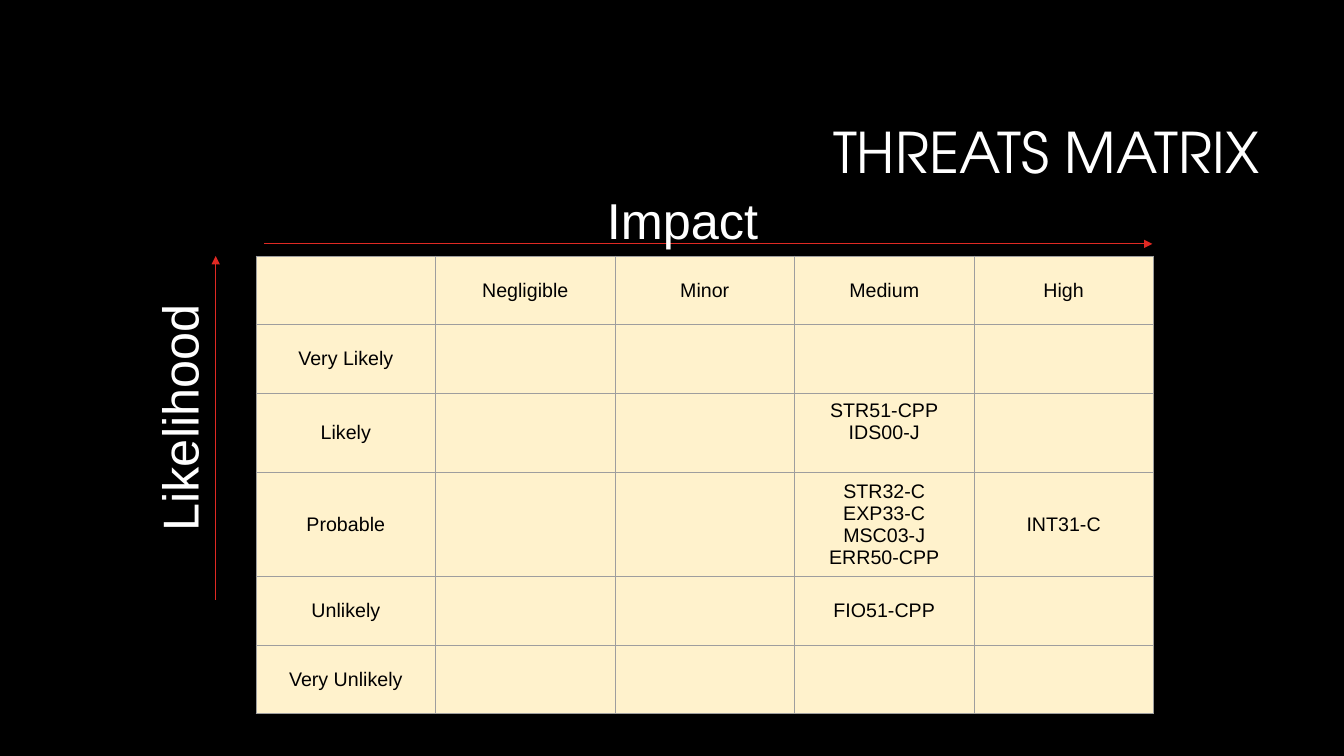
from lxml.etree import SubElement
from pptx import Presentation
from pptx.dml.color import RGBColor
from pptx.enum.shapes import MSO_CONNECTOR
from pptx.enum.text import MSO_ANCHOR, PP_ALIGN
from pptx.oxml.ns import qn
from pptx.util import Inches, Pt

# Content
TITLE = "THREATS MATRIX"
IMPACTS = ["Negligible", "Minor", "Medium", "High"]
# likelihood, row height, threats by impact
ROWS = [
    ("Very Likely", 0.68, {}),
    ("Likely", 0.76, {"Medium": ["STR51-CPP", "IDS00-J"]}),
    ("Probable", 0.97, {"Medium": ["STR32-C", "EXP33-C", "MSC03-J", "ERR50-CPP"],
                        "High": ["INT31-C"]}),
    ("Unlikely", 0.68, {"Medium": ["FIO51-CPP"]}),
    ("Very Unlikely", 0.68, {}),
]
# label, box, rotation, arrow start, arrow end
AXES = [
    ("Impact", (5.92, 1.83, 1.72, 0.71), 0, (2.62, 2.42), (11.43, 2.42)),
    ("Likelihood", (0.54, 3.78, 2.47, 0.71), 270, (2.14, 5.95), (2.14, 2.54)),
]
COLORS = {"back": "000000", "light": "FFFFFF", "dark": "000000",
          "cell": "FFF2CC", "border": "9E9E9E", "arrow": "DF2923"}
LEFT, TOP, COL_W, HEADER_H = 2.54, 2.54, 1.78, 0.68


def rgb(name):
    return RGBColor.from_string(COLORS[name])


def add_run(p, text, size, color, font="Arial"):
    r = p.add_run()
    r.text = text
    r.font.size = Pt(size)
    r.font.name = font
    r.font.color.rgb = rgb(color)


def add_textbox(box, text, size, font="Arial", wrap=False):
    s = slide.shapes.add_textbox(*map(Inches, box))
    s.text_frame.word_wrap = wrap
    add_run(s.text_frame.paragraphs[0], text, size, "light", font)
    return s


def add_arrow(start, end):
    s = slide.shapes.add_connector(MSO_CONNECTOR.STRAIGHT, *map(Inches, start + end))
    s.line.color.rgb = rgb("arrow")
    s.line.width = Pt(0.75)
    SubElement(s.line._get_or_add_ln(), qn("a:tailEnd"), type="triangle")
    SubElement(s._element.spPr, qn("a:effectLst"))


def style_cell(cell, lines):
    tcPr = cell._tc.get_or_add_tcPr()
    for side in ("lnL", "lnR", "lnT", "lnB"):
        ln = SubElement(tcPr, qn(f"a:{side}"), w=str(Pt(0.75)))
        fill = SubElement(ln, qn("a:solidFill"))
        SubElement(fill, qn("a:srgbClr"), val=COLORS["border"])
    cell.fill.solid()
    cell.fill.fore_color.rgb = rgb("cell")
    cell.vertical_anchor = MSO_ANCHOR.MIDDLE
    tf = cell.text_frame
    for i, line in enumerate(lines):
        p = tf.add_paragraph() if i else tf.paragraphs[0]
        p.alignment = PP_ALIGN.CENTER
        add_run(p, line, 14, "dark")


prs = Presentation()
prs.slide_width, prs.slide_height = Inches(13.33), Inches(7.5)
slide = prs.slides.add_slide(prs.slide_layouts[6])
slide.background.fill.solid()
slide.background.fill.fore_color.rgb = rgb("back")

# Title
title = add_textbox((3.17, 0.84, 9.42, 1.41), TITLE, 40, "TeX Gyre Adventor", True)
title.text_frame.vertical_anchor = MSO_ANCHOR.MIDDLE
title.text_frame.paragraphs[0].alignment = PP_ALIGN.RIGHT
title.text_frame.paragraphs[0].line_spacing = 0.9

# Matrix
heights = [HEADER_H] + [height for _, height, _ in ROWS]
grid = [[[]] + [[impact] for impact in IMPACTS]]
grid += [[[name]] + [threats.get(impact, []) for impact in IMPACTS]
         for name, _, threats in ROWS]
n_cols = len(IMPACTS) + 1
table = slide.shapes.add_table(
    len(grid), n_cols, Inches(LEFT), Inches(TOP),
    Inches(COL_W * n_cols), Inches(sum(heights))).table
table.first_row = table.horz_banding = False
for col in table.columns:
    col.width = Inches(COL_W)
for i, (height, row) in enumerate(zip(heights, grid)):
    table.rows[i].height = Inches(height)
    for j, lines in enumerate(row):
        style_cell(table.cell(i, j), lines)
# The two "Likely" threats sit one half line above the middle
table.cell(2, 3).margin_bottom = Inches(0.27)

# Axes
for label, box, rotation, start, end in AXES:
    add_arrow(start, end)
    add_textbox(box, label, 36).rotation = rotation

prs.save("out.pptx")
